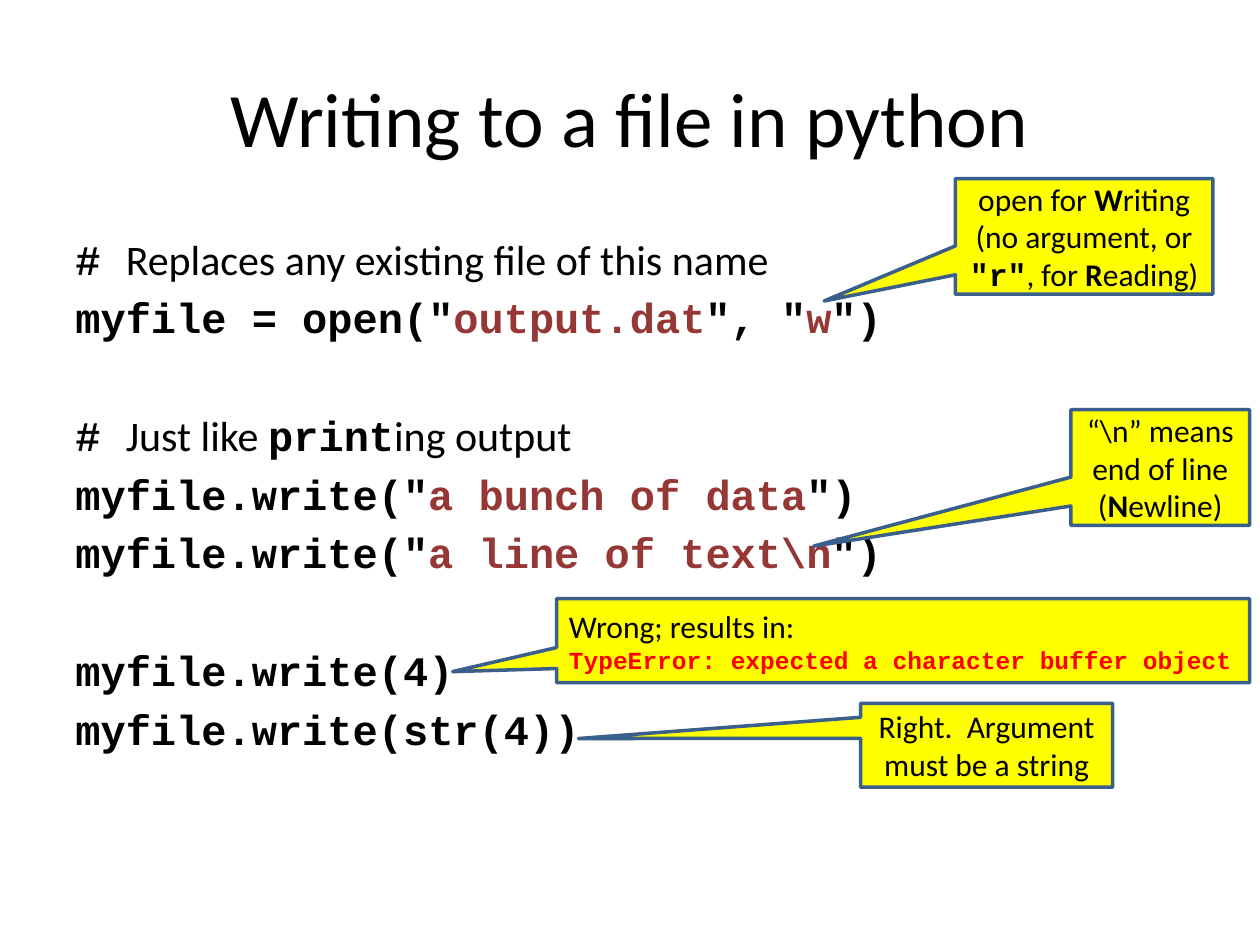
from dataclasses import dataclass
from pptx import Presentation
from pptx.dml.color import RGBColor
from pptx.enum.shapes import MSO_SHAPE
from pptx.enum.text import MSO_ANCHOR, PP_ALIGN
from pptx.util import Cm, Pt


@dataclass(frozen=True)
class Theme:
    sans: str = "Calibri"
    mono: str = "Courier New"
    ink: str = "000000"
    quote: str = "953735"
    error: str = "FF0000"
    note: str = "FFFF00"
    edge: str = "3A5F8C"
    head: int = 44
    body: int = 24
    call: int = 18
    small: int = 14
    pitch: float = 33.6


look = Theme()

# Run styles: font, bold, colour
STYLES = {
    "text": (look.sans, False, look.ink),
    "bold": (look.sans, True, look.ink),
    "code": (look.mono, True, look.ink),
    "str": (look.mono, True, look.quote),
    "err": (look.mono, True, look.error),
}

# Content: a paragraph is a list of (text, style) runs
TITLE = [("Writing to a file in python", "text")]
BLOCKS = [
    [
        [("# ", "code"), ("Replaces any existing file of this name", "text")],
        [('myfile = open("', "code"), ("output.dat", "str"), ('", "', "code"),
         ("w", "str"), ('")', "code")],
    ],
    [
        [("# ", "code"), ("Just like ", "text"), ("print", "code"),
         ("ing output", "text")],
        [('myfile.write("', "code"), ("a bunch of data", "str"), ('")', "code")],
        [('myfile.write("', "code"), (r"a line of text\n", "str"),
         ('")', "code")],
    ],
    [
        [("myfile.write(4)", "code")],
        [("myfile.write(str(4))", "code")],
    ],
]

# Callouts: box in cm, pointer tip as a share of the box, alignment, paragraphs
MID, LEFT = PP_ALIGN.CENTER, PP_ALIGN.LEFT
CALLS = [
    ((19.26, 3.6, 5.19, 2.33), (-1.01, 0.56), MID, [
        [("open for ", "text"), ("W", "bold"), ("riting", "text"),
         ("\n", "text"), ("(no argument, or ", "text"), ('"r"', "code"),
         (", for ", "text"), ("R", "bold"), ("eading)", "text")]]),
    ((21.59, 8.26, 3.6, 2.33), (-1.94, 0.68), MID, [
        [(r"“\n” means end of line (", "text"), ("N", "bold"),
         ("ewline)", "text")]]),
    ((11.22, 12.07, 13.97, 1.69), (-0.65, 0.37), LEFT, [
        [("Wrong; results in:", "text")],
        [("TypeError: expected a character buffer object", "err")]]),
    ((17.35, 14.18, 5.08, 1.69), (-1.62, -0.08), MID, [
        [("Right.  Argument must be a string", "text")]]),
]


def fill_para(para, runs, size, align=LEFT):
    para.alignment = align
    for text, style in runs:
        if text == "\n":
            para.add_line_break()
            continue
        face, bold, tint = STYLES[style]
        run = para.add_run()
        run.text = text
        font = run.font
        font.name, font.bold = face, bold
        font.size = Pt(look.small if style == "err" else size)
        font.color.rgb = RGBColor.from_string(tint)


def next_para(frame, first):
    return frame.paragraphs[0] if first else frame.add_paragraph()


def add_box(slide, box):
    frame = slide.shapes.add_textbox(*map(Cm, box)).text_frame
    frame.word_wrap = True
    return frame


def add_call(slide, box, tip, align, paras):
    shape = slide.shapes.add_shape(MSO_SHAPE.RECTANGULAR_CALLOUT, *map(Cm, box))
    shape.adjustments[0], shape.adjustments[1] = tip
    shape.shadow.inherit = False
    shape.fill.solid()
    shape.fill.fore_color.rgb = RGBColor.from_string(look.note)
    shape.line.color.rgb = RGBColor.from_string(look.edge)
    shape.line.width = Pt(2)
    frame = shape.text_frame
    frame.word_wrap = True
    frame.vertical_anchor = MSO_ANCHOR.MIDDLE
    for i, runs in enumerate(paras):
        fill_para(next_para(frame, i == 0), runs, look.call, align)


deck = Presentation()
deck.slide_width, deck.slide_height = Cm(25.4), Cm(19.05)
slide = deck.slides.add_slide(deck.slide_layouts[6])

# Title
head = add_box(slide, (1.27, 0.76, 22.86, 3.18))
head.vertical_anchor = MSO_ANCHOR.MIDDLE
fill_para(head.paragraphs[0], TITLE, look.head, MID)

# Code blocks, one line of space between them
body = add_box(slide, (1.27, 4.45, 22.86, 12.57))
body.margin_top = Cm(0.08)
for b, block in enumerate(BLOCKS):
    for i, runs in enumerate(block):
        para = next_para(body, b == i == 0)
        para.line_spacing = Pt(look.pitch)
        para.space_before = Pt(look.pitch if b and i == 0 else 0)
        fill_para(para, runs, look.body)

# Callouts
for call in CALLS:
    add_call(slide, *call)

deck.save("out.pptx")
